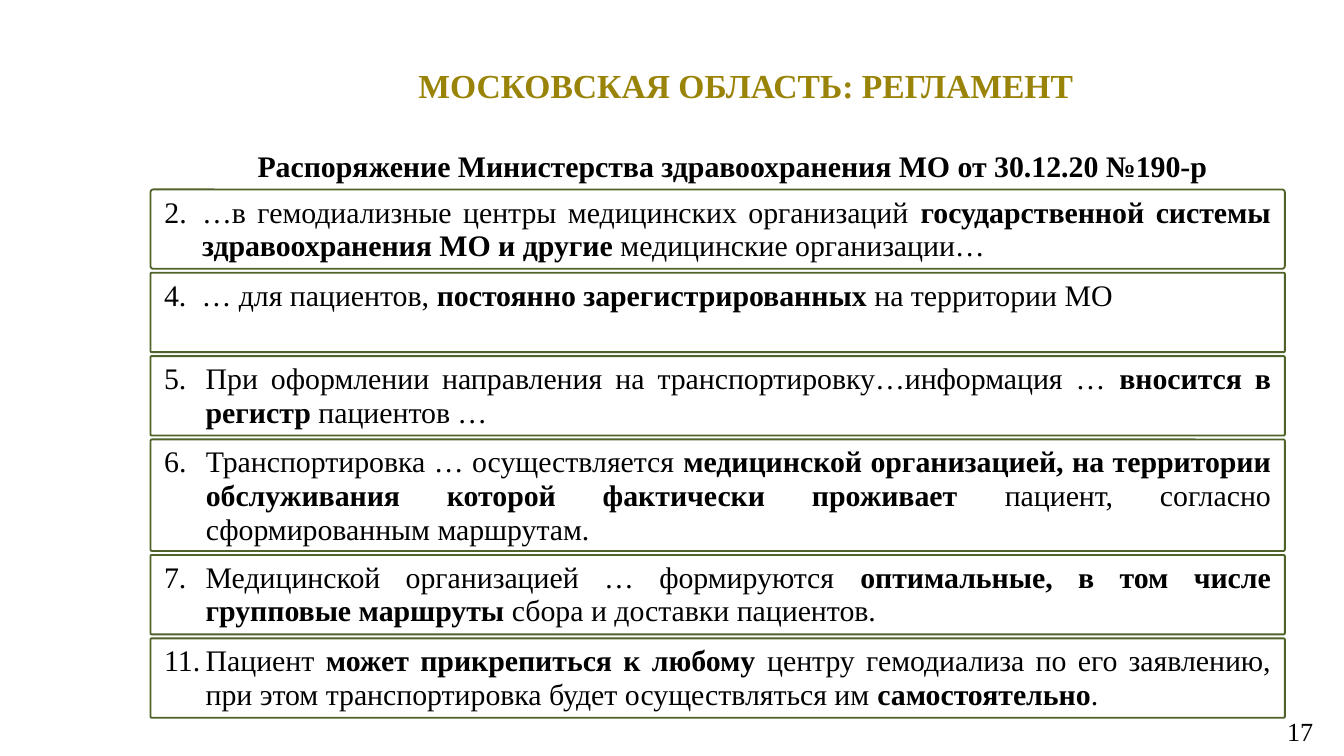
from lxml.etree import SubElement
from pptx import Presentation
from pptx.dml.color import RGBColor
from pptx.enum.shapes import MSO_SHAPE as Shape
from pptx.enum.text import MSO_ANCHOR as Anchor, MSO_AUTO_SIZE as AutoSize, PP_ALIGN as Align
from pptx.oxml.ns import qn
from pptx.util import Inches, Pt

COLORS = {"title": "998308", "text": "000000", "border": "4F6228", "back": "FFFFFF"}
FONT = "Times New Roman"
LEFT, TOP, WIDTH, GAP = 1.12, 1.41, 8.44, 0.03

CLAUSES = [
    (2, 0.59, 0.28, 0.034, [
        ("…в гемодиализные центры медицинских организаций ", False),
        ("государственной системы здравоохранения МО и другие ", True),
        ("медицинские организации…", False)]),
    (4, 0.59, 0.28, 0.014, [
        ("… для пациентов, ", False),
        ("постоянно зарегистрированных ", True),
        ("на территории МО", False)]),
    (5, 0.59, 0.31, 0.014, [
        ("При оформлении направления на транспортировку…информация … ", False),
        ("вносится в регистр ", True),
        ("пациентов …", False)]),
    (6, 0.83, 0.31, 0.014, [
        ("Транспортировка … осуществляется ", False),
        ("медицинской организацией, на территории обслуживания которой фактически проживает", True),
        (" пациент, согласно сформированным маршрутам.", False)]),
    (7, 0.59, 0.31, 0.014, [
        ("Медицинской организацией … формируются ", False),
        ("оптимальные, в том числе групповые маршруты", True),
        (" сбора и доставки пациентов.", False)]),
    (11, 0.59, 0.31, 0.014, [
        ("Пациент ", False),
        ("может прикрепиться к любому ", True),
        ("центру гемодиализа по его заявлению, при этом транспортировка будет осуществляться им ", False),
        ("самостоятельно", True),
        (".", False)]),
]


def color(name):
    return RGBColor.from_string(COLORS[name])


def set_font(para, size, name="text", bold=None):
    para.font.name = FONT
    para.font.size = Pt(size)
    para.font.color.rgb = color(name)
    para.font.bold = bold


def write_line(box, text, size, align, anchor, name="text", bold=None):
    frame = box.text_frame
    frame.word_wrap = True
    frame.auto_size = AutoSize.NONE
    frame.vertical_anchor = anchor
    para = frame.paragraphs[0]
    para.text = text
    para.alignment = align
    set_font(para, size, name, bold)


def add_title(page, text):
    title = page.shapes.title
    title.left, title.top = Inches(1.1), Inches(0.43)
    title.width, title.height = Inches(8.9), Inches(0.4)
    write_line(title, text, 18, Align.CENTER, Anchor.TOP, "title", True)


def add_label(page, place, text, size, align, bold=None):
    box = page.shapes.add_textbox(*map(Inches, place))
    write_line(box, text, size, align, Anchor.MIDDLE, bold=bold)


def set_number(para, number, indent):
    props = para._p.get_or_add_pPr()
    props.set("marL", str(Inches(indent)))
    props.set("indent", str(-Inches(indent)))
    SubElement(props, qn("a:buAutoNum"), type="arabicPeriod", startAt=str(number))


def add_clause(page, top, number, height, indent, corner, spans):
    box = page.shapes.add_shape(
        Shape.ROUNDED_RECTANGLE, Inches(LEFT), Inches(top), Inches(WIDTH), Inches(height))
    box.adjustments[0] = corner
    box.shadow.inherit = False
    box.fill.background()
    box.line.color.rgb = color("border")
    box.line.width = Pt(1)
    frame = box.text_frame
    frame.word_wrap = True
    frame.vertical_anchor = Anchor.TOP
    frame.margin_left = frame.margin_right = Inches(0.1)
    frame.margin_top, frame.margin_bottom = Inches(0.04), Inches(0.05)
    para = frame.paragraphs[0]
    set_number(para, number, indent)
    para.alignment = Align.JUSTIFY
    para.line_spacing = Pt(18)
    para.space_after = Pt(6)
    set_font(para, 16)
    for text, bold in spans:
        span = para.add_run()
        span.text = text
        span.font.bold = bold


def main():
    deck = Presentation()
    deck.slide_width = Inches(10)
    deck.slide_height = deck.slide_width * 9 // 16
    page = deck.slides.add_slide(deck.slide_layouts[5])
    page.background.fill.solid()
    page.background.fill.fore_color.rgb = color("back")
    add_title(page, "МОСКОВСКАЯ ОБЛАСТЬ: РЕГЛАМЕНТ")
    add_label(page, (1.37, 0.92, 8.16, 0.63),
              "Распоряжение Министерства здравоохранения МО от 30.12.20 №190-р",
              16, Align.CENTER, True)
    top = TOP
    for number, height, indent, corner, spans in CLAUSES:
        add_clause(page, top, number, height, indent, corner, spans)
        top += height + GAP
    add_label(page, (7.54, 5.29, 2.33, 0.3), "17", 14, Align.RIGHT)
    deck.save("out.pptx")


if __name__ == "__main__":
    main()
